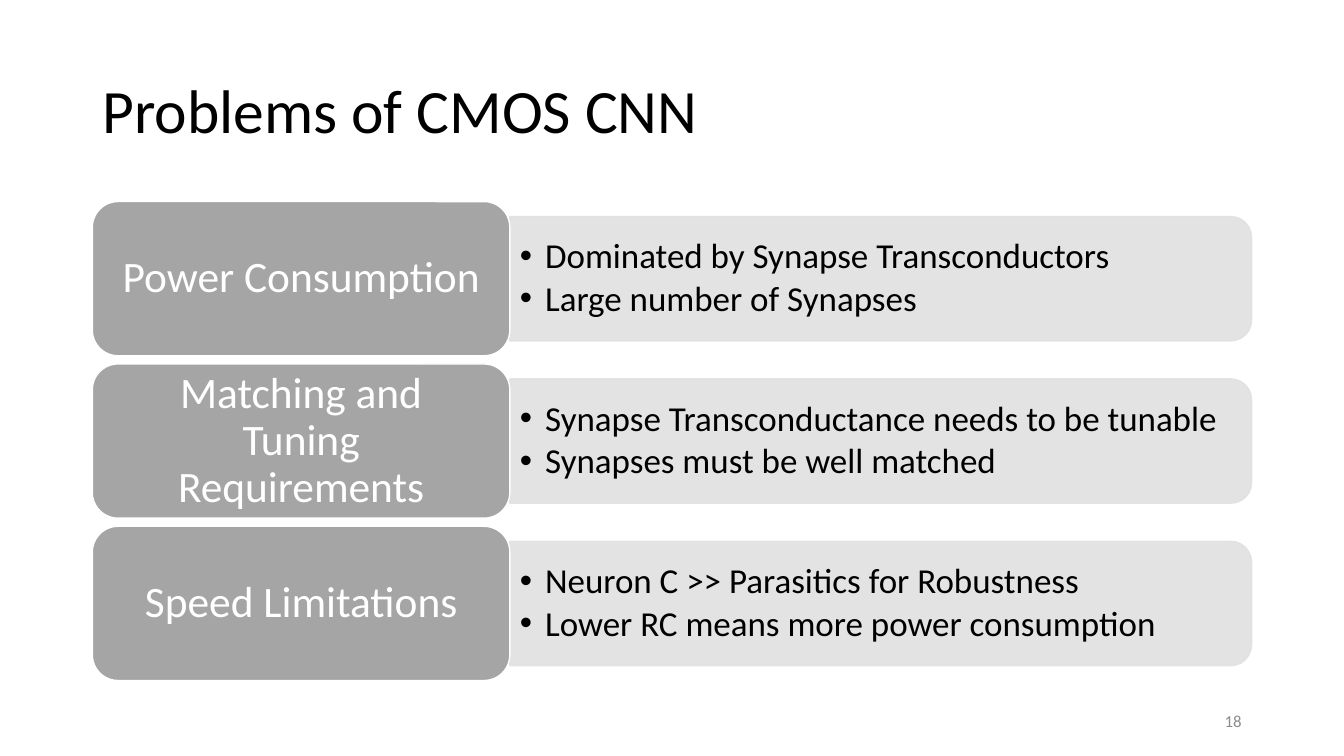
from dataclasses import dataclass

from lxml.etree import SubElement
from pptx import Presentation
from pptx.dml.color import RGBColor
from pptx.enum.shapes import MSO_SHAPE
from pptx.enum.text import MSO_ANCHOR, MSO_AUTO_SIZE, PP_ALIGN
from pptx.oxml.ns import qn
from pptx.util import Inches, Pt

BLACK = RGBColor(0x00, 0x00, 0x00)
WHITE = RGBColor(0xFF, 0xFF, 0xFF)
GREY = RGBColor(0xA5, 0xA5, 0xA5)
PALE = RGBColor(0xE1, 0xE1, 0xE1)
FAINT = RGBColor(0x8C, 0x8C, 0x8C)

# Grid: 160 columns by 90 rows of square cells
COLS, ROWS = 160, 90
CELL = Inches(7.5) / ROWS

LEFT, TOP = 11, 24
LABEL_W, LABEL_H = 49.7, 18.36
PANE_W, PANE_H = 88.3, 14.8
LIST_W, LIST_H = 87.6, 13.3
STEP = 19.33


@dataclass
class Topic:
    label: str
    points: list[str]


TOPICS = [
    Topic("Power Consumption",
          ["Dominated by Synapse Transconductors", "Large number of Synapses"]),
    Topic("Matching and Tuning Requirements",
          ["Synapse Transconductance needs to be tunable",
           "Synapses must be well matched"]),
    Topic("Speed Limitations",
          ["Neuron C >> Parasitics for Robustness",
           "Lower RC means more power consumption"]),
]


def cells(*counts: float) -> list[int]:
    return [round(count * CELL) for count in counts]


def place(shape, x: float, y: float, w: float, h: float) -> None:
    shape.left, shape.top, shape.width, shape.height = cells(x, y, w, h)


def write(shape, *lines: str, size: float, color: RGBColor,
          align=PP_ALIGN.LEFT, spacing: float = 0.9, gap: float = 0,
          inset: float = 0.1, bullet: bool = False) -> None:
    frame = shape.text_frame
    frame.word_wrap = True
    frame.auto_size = MSO_AUTO_SIZE.NONE
    frame.vertical_anchor = MSO_ANCHOR.MIDDLE
    frame.margin_left = frame.margin_right = Inches(inset)
    frame.margin_top = frame.margin_bottom = Inches(0.05)
    for i, line in enumerate(lines):
        para = frame.paragraphs[0] if i == 0 else frame.add_paragraph()
        if bullet:
            props = para._p.get_or_add_pPr()
            props.set("marL", str(Inches(0.25)))
            props.set("indent", str(-Inches(0.25)))
            SubElement(props, qn("a:buFont"), typeface="Arial")
            SubElement(props, qn("a:buChar"), char="•")
        para.alignment = align
        para.line_spacing = spacing
        para.space_before = Pt(gap if i else 0)
        para.space_after = Pt(0)
        run = para.add_run()
        run.text = line
        font = run.font
        font.name, font.size, font.bold = "Calibri", Pt(size), False
        font.color.rgb = color


def block(slide, kind: MSO_SHAPE, x: float, y: float, w: float, h: float,
          fill: RGBColor, line: RGBColor):
    shape = slide.shapes.add_shape(kind, *cells(x, y, w, h))
    shape.shadow.inherit = False
    shape.fill.solid()
    shape.fill.fore_color.rgb = fill
    shape.line.color.rgb = line
    shape.line.width = Pt(1)
    return shape


def fade(shape, share: int) -> None:
    for color in shape._element.spPr.iter(qn("a:srgbClr")):
        SubElement(color, qn("a:alpha"), val=str(share * 1000))


def band(slide, topic: Topic, body, y: float) -> None:
    x, mid = LEFT + LABEL_W, y + LABEL_H / 2
    # Pane: an upright shape turned so its round corners face right
    pane = block(slide, MSO_SHAPE.ROUND_2_SAME_RECTANGLE,
                 x + (PANE_W - PANE_H) / 2, mid - PANE_W / 2,
                 PANE_H, PANE_W, PALE, PALE)
    pane.rotation = 90
    fade(pane, 90)
    # List, raised above its pane
    place(body, x, mid - LIST_H / 2, LIST_W, LIST_H)
    write(body, *topic.points, size=25, color=BLACK, gap=3.5, bullet=True)
    slide.shapes._spTree.append(body._element)
    # Label
    label = block(slide, MSO_SHAPE.ROUNDED_RECTANGLE,
                  LEFT, y, LABEL_W, LABEL_H, GREY, WHITE)
    write(label, topic.label, size=31, color=WHITE,
          align=PP_ALIGN.CENTER, inset=0.2)


def main() -> None:
    deck = Presentation()
    deck.slide_width, deck.slide_height = cells(COLS, ROWS)
    # The comparison layout offers a title and four bodies
    slide = deck.slides.add_slide(deck.slide_layouts[4])
    title, *bodies = slide.placeholders

    # Title
    place(title, LEFT, 4.8, 138, 17.4)
    write(title, "Problems of CMOS CNN", size=44, color=BLACK)

    # Topics
    for i, (topic, body) in enumerate(zip(TOPICS, bodies)):
        band(slide, topic, body, TOP + i * STEP)
    for spare in bodies[len(TOPICS):]:
        spare._element.getparent().remove(spare._element)

    # Page number
    page = slide.shapes.add_textbox(*cells(113, 83.4, 36, 4.8))
    write(page, "18", size=12, color=FAINT, align=PP_ALIGN.RIGHT, spacing=1)

    deck.save("out.pptx")


if __name__ == "__main__":
    main()
